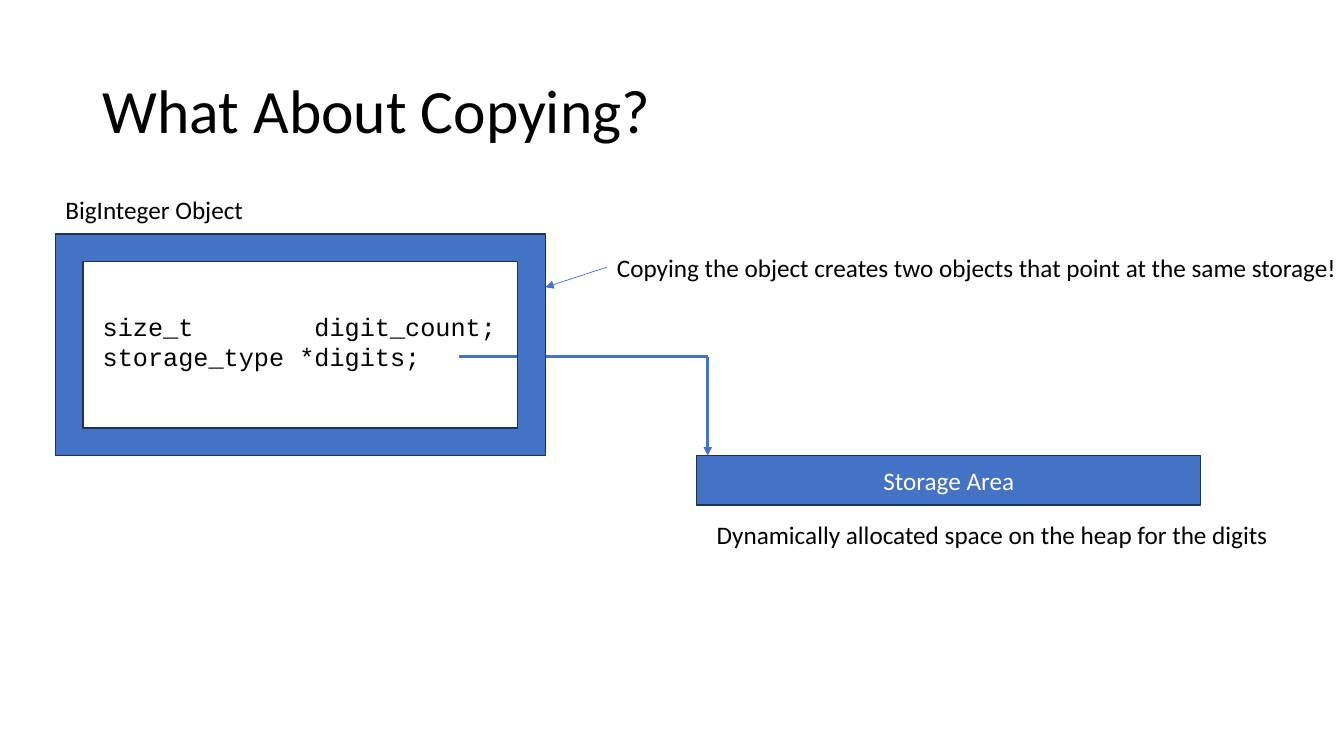
from collections import namedtuple

from lxml import etree
from pptx import Presentation
from pptx import util as u
from pptx.dml.color import RGBColor
from pptx.enum import shapes, text
from pptx.oxml import ns

BLUE = RGBColor(0x44, 0x72, 0xC4)
NAVY = RGBColor(0x1E, 0x32, 0x56)
BLACK = RGBColor(0, 0, 0)
WHITE = RGBColor(0xFF, 0xFF, 0xFF)
BODY, CODE = "Calibri", "Courier New"
LABEL_H = 0.4
CODE_COLUMN = 2.1

Box = namedtuple("Box", "x y w h")


def inches(*lengths):
    return [u.Inches(n) for n in lengths]


def style(tf, size=18, font=BODY, color=BLACK, align=text.PP_ALIGN.LEFT):
    for p in tf.paragraphs:
        p.alignment = align
        for r in p.runs:
            r.font.size, r.font.name = u.Pt(size), font
            r.font.color.rgb = color


def add_label(s, box, words, font=BODY):
    tf = s.shapes.add_textbox(*inches(*box)).text_frame
    tf.text = words
    tf.word_wrap = False
    tf.auto_size = text.MSO_AUTO_SIZE.SHAPE_TO_FIT_TEXT
    style(tf, font=font)
    return tf


def add_block(s, kind, box):
    sp = s.shapes.add_shape(kind, *inches(*box))
    sp.shadow.inherit = False
    sp.fill.solid()
    sp.fill.fore_color.rgb = BLUE
    sp.line.color.rgb = NAVY
    sp.line.width = u.Pt(1)
    return sp


def add_line(s, start, end, width, arrow=False):
    line = s.shapes.add_connector(shapes.MSO_CONNECTOR.STRAIGHT, *inches(*start, *end))
    line.line.color.rgb = BLUE
    line.line.width = u.Pt(width)
    if arrow:
        ln = line.line._get_or_add_ln()
        etree.SubElement(ln, ns.qn("a:tailEnd"), type="triangle")
    etree.SubElement(line._element.spPr, ns.qn("a:effectLst"))


def add_title(s, box, words):
    title = s.shapes.title
    title.left, title.top, title.width, title.height = inches(*box)
    tf = title.text_frame
    tf.text = words
    tf.vertical_anchor = text.MSO_ANCHOR.MIDDLE
    tf.paragraphs[0].line_spacing = 0.9
    style(tf, size=44)


def add_storage(s, box):
    """Storage bar with its caption underneath."""
    tf = add_block(s, shapes.MSO_SHAPE.RECTANGLE, box).text_frame
    tf.text = "Storage Area"
    tf.vertical_anchor = text.MSO_ANCHOR.MIDDLE
    style(tf, color=WHITE, align=text.PP_ALIGN.CENTER)
    add_label(s, Box(box.x + 0.1, box.y + box.h + 0.09, 5.73, LABEL_H),
              "Dynamically allocated space on the heap for the digits")


def add_pointer(s, obj, storage):
    """Bent arrow from the digits member to the storage bar."""
    x, y = storage.x + 0.11, obj.y + 1.22
    add_line(s, (obj.x + 4, y), (x, y), 2)
    add_line(s, (x, y), (x, storage.y), 2, arrow=True)


def add_object(s, box):
    """Framed object with its name above and its members inside."""
    add_block(s, shapes.MSO_SHAPE.FRAME, box)
    add_label(s, Box(box.x, box.y - 0.44, 1.98, LABEL_H), "BigInteger Object")
    tf = add_label(s, Box(box.x + 0.37, box.y + 0.72, 4.12, 0.71),
                   "size_t\tdigit_count;\nstorage_type *digits;", CODE)
    tabs = etree.SubElement(tf.paragraphs[0]._p.get_or_add_pPr(), ns.qn("a:tabLst"))
    etree.SubElement(tabs, ns.qn("a:tab"), pos=str(u.Inches(CODE_COLUMN)), algn="l")


def add_warning(s, box, obj):
    """Remark with an arrow to the object's right edge."""
    add_label(s, box, "Copying the object creates two objects that point at the same storage!")
    middle = box.y + box.h / 2
    add_line(s, (box.x, middle), (obj.x + obj.w, middle + 0.2), 0.5, arrow=True)


def main():
    prs = Presentation()
    prs.slide_width, prs.slide_height = inches(13.33, 7.5)
    s = prs.slides.add_slide(prs.slide_layouts[5])
    s.background.fill.solid()
    s.background.fill.fore_color.rgb = WHITE

    obj = Box(0.55, 2.32, 4.86, 2.2)
    storage = Box(6.91, obj.y + obj.h, 5, 0.49)
    add_title(s, Box(0.92, 0.4, 11.5, 1.45), "What About Copying?")
    add_storage(s, storage)
    add_pointer(s, obj, storage)
    add_object(s, obj)
    add_warning(s, Box(6.02, 2.45, 7.42, LABEL_H), obj)
    prs.save("out.pptx")


if __name__ == "__main__":
    main()
